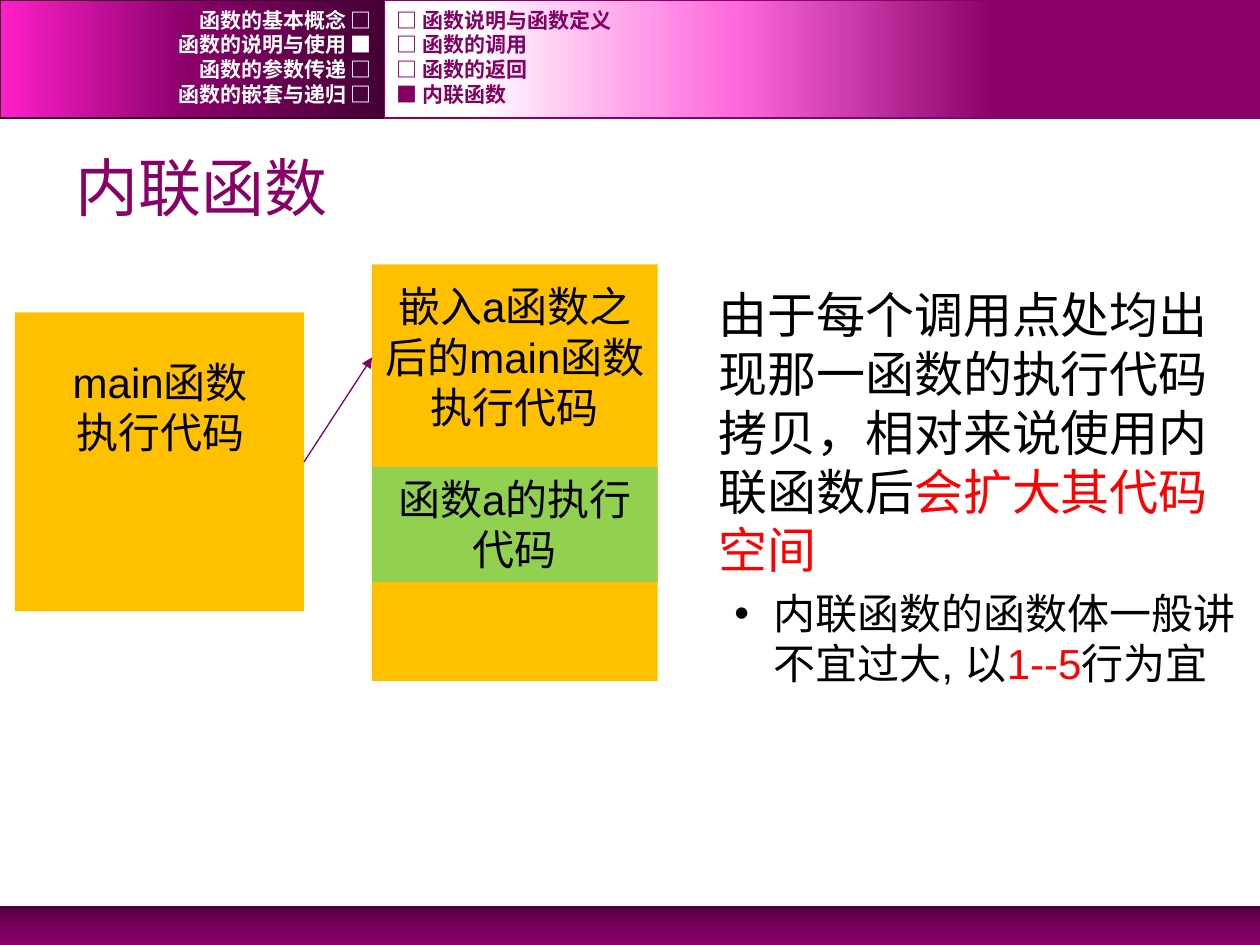
import copy

import pptx
import pptx.dml.color
import pptx.enum.shapes
import pptx.enum.text
import pptx.oxml.ns
import pptx.oxml.xmlchemy
import pptx.util

Cm = pptx.util.Cm
Pt = pptx.util.Pt
RGB = pptx.dml.color.RGBColor
ALIGN = pptx.enum.text.PP_ALIGN
ANCHOR = pptx.enum.text.MSO_ANCHOR
FIT = pptx.enum.text.MSO_AUTO_SIZE
KIND = pptx.enum.shapes
qn = pptx.oxml.ns.qn

WHITE = RGB(0xFF, 0xFF, 0xFF)
BLACK = RGB(0x00, 0x00, 0x00)
RED = RGB(0xFF, 0x00, 0x00)
AMBER = RGB(0xFF, 0xC0, 0x00)
GREEN = RGB(0x92, 0xD0, 0x50)
PLUM = RGB(0x88, 0x00, 0x68)
GRAPE = RGB(0x82, 0x00, 0x64)
WINE = RGB(0x85, 0x00, 0x66)
DARK = RGB(0x44, 0x00, 0x34)
DEEP = RGB(0x51, 0x00, 0x3E)
MID = RGB(0x73, 0x00, 0x58)
PINK = RGB(0xFF, 0x1F, 0xCA)
ROSE = RGB(0xFF, 0x69, 0xDC)


def write(par, text, size=24, color=BLACK, font="Arial", bold=False, align=None):
    run = par.add_run()
    run.text = text
    run.font.size = Pt(size)
    run.font.name = font
    run.font.bold = bold
    run.font.color.rgb = color
    if align is not None:
        par.alignment = align


def add_sub(node, tag, **attrs):
    sub = node.makeelement(qn(tag), attrs)
    node.append(sub)
    return sub


class Deck:
    def __init__(self):
        self.prs = pptx.Presentation()
        self.prs.slide_width = Cm(25.4)
        self.prs.slide_height = Cm(19.05)
        self.slide = self.prs.slides.add_slide(self.prs.slide_layouts[1])
        self.shapes = self.slide.shapes

    def rect(self, *place):
        kind = KIND.MSO_SHAPE.RECTANGLE
        shape = self.shapes.add_shape(kind, *map(Cm, place))
        shape.shadow.inherit = False
        shape.line.fill.background()
        return shape

    def band(self, place, stops, angle, edge=None):
        shape = self.rect(*place)
        shape.fill.gradient()
        shape.fill.gradient_angle = angle
        marks = shape._element.spPr.find(qn("a:gradFill")).find(qn("a:gsLst"))
        marks.append(copy.deepcopy(marks[-1]))
        for stop, (pos, color) in zip(shape.fill.gradient_stops, stops):
            stop.position = pos
            stop.color.rgb = color
        if edge is not None:
            shape.line.color.rgb = edge
            shape.line.width = Pt(1)

    def block(self, place, color, text=None):
        shape = self.rect(*place)
        shape.fill.solid()
        shape.fill.fore_color.rgb = color
        if text:
            frame = shape.text_frame
            frame.word_wrap = True
            frame.vertical_anchor = ANCHOR.TOP
            write(frame.paragraphs[0], text, align=ALIGN.CENTER)
        return shape

    def label(self, place, text, anchor=ANCHOR.TOP, **style):
        box = self.shapes.add_textbox(*map(Cm, place))
        frame = box.text_frame
        frame.word_wrap = True
        frame.vertical_anchor = anchor
        write(frame.paragraphs[0], text, **style)
        return box

    def menu(self, left, width, rows, **style):
        for i, row in enumerate(rows):
            place = (left, 0.15 + 0.5 * i, width, 0.5)
            self.label(place, row, ANCHOR.MIDDLE, size=12,
                       font="Courier New", bold=True, **style)

    def arrow(self, start, end):
        line = self.shapes.add_connector(KIND.MSO_CONNECTOR.STRAIGHT, 0, 0, 0, 0)
        line.begin_connect(start, 3)
        line.end_connect(end, 1)
        line.line.color.rgb = WINE
        line.line.width = Pt(0.75)
        props = line._element.spPr
        add_sub(props.find(qn("a:ln")), "a:tailEnd", type="triangle")
        add_sub(props, "a:effectLst")

    def holder(self, shape, place, anchor):
        shape.left, shape.top, shape.width, shape.height = map(Cm, place)
        frame = shape.text_frame
        frame.auto_size = FIT.NONE
        frame.word_wrap = True
        frame.vertical_anchor = anchor
        return frame

    def title(self, place, text):
        frame = self.holder(self.shapes.title, place, ANCHOR.MIDDLE)
        write(frame.paragraphs[0], text, size=36, color=PLUM, align=ALIGN.LEFT)

    def body(self, place, items):
        frame = self.holder(self.slide.placeholders[1], place, ANCHOR.TOP)
        for i, (level, size, left, hang, gap, mark, runs) in enumerate(items):
            par = frame.add_paragraph() if i else frame.paragraphs[0]
            par.level = level
            props = par._p.get_or_add_pPr()
            props.set("marL", str(Cm(left)))
            props.set("indent", str(-Cm(hang)))
            if mark:
                add_sub(props, "a:buFont", typeface="Arial")
                add_sub(props, "a:buChar", char=mark)
            else:
                add_sub(props, "a:buNone")
            par.space_before = Pt(gap)
            for text, color in runs:
                write(par, text, size=size, color=color)


def main():
    deck = Deck()
    deck.band((0, 18.26, 25.4, 0.79), [(0, DEEP), (0.5, MID), (1, PLUM)], 270)
    deck.band((0, 0, 7.75, 2.38), [(0, DARK), (0.5, PLUM), (1, PINK)], 180, DARK)
    deck.band((7.75, 0, 17.65, 2.38),
              [(0.3, PLUM), (0.6, ROSE), (0.9, WHITE)], 180, PLUM)
    deck.title((1.27, 2.77, 22.86, 1.98), "内联函数")
    deck.body((13.28, 5.61, 12.22, 9.93), [
        (0, 28, 0.95, 0, 0, None, [
            ("由于每个调用点处均出现那一函数的执行代码拷贝，相对来说使用内联函数后", BLACK),
            ("会扩大其代码空间", RED)]),
        (1, 24, 2.06, 0.79, 5, "•", [
            ("内联函数的函数体一般讲不宜过大, 以", BLACK),
            ("1--5", RED),
            ("行为宜", BLACK)]),
    ])
    deck.menu(0, 7.75, ["函数的基本概念 □", "函数的说明与使用 ■",
                        "函数的参数传递 □", "函数的嵌套与递归 □"],
              color=WHITE, align=ALIGN.RIGHT)
    deck.menu(7.75, 15.29, ["□ 函数说明与函数定义", "□ 函数的调用",
                            "□ 函数的返回", "■ 内联函数"], color=GRAPE)
    caller = deck.block((0.3, 6.3, 5.83, 6.02), AMBER)
    deck.label((1.03, 7.06, 4.4, 2.31), "main函数执行代码", align=ALIGN.CENTER)
    deck.block((7.5, 5.33, 5.76, 8.4), AMBER)
    inlined = deck.label((7.5, 5.54, 5.76, 3.33),
                         "嵌入a函数之后的main函数执行代码", align=ALIGN.CENTER)
    deck.block((7.5, 9.42, 5.76, 2.31), GREEN, "函数a的执行代码")
    deck.arrow(caller, inlined)
    deck.prs.save("out.pptx")


if __name__ == "__main__":
    main()
